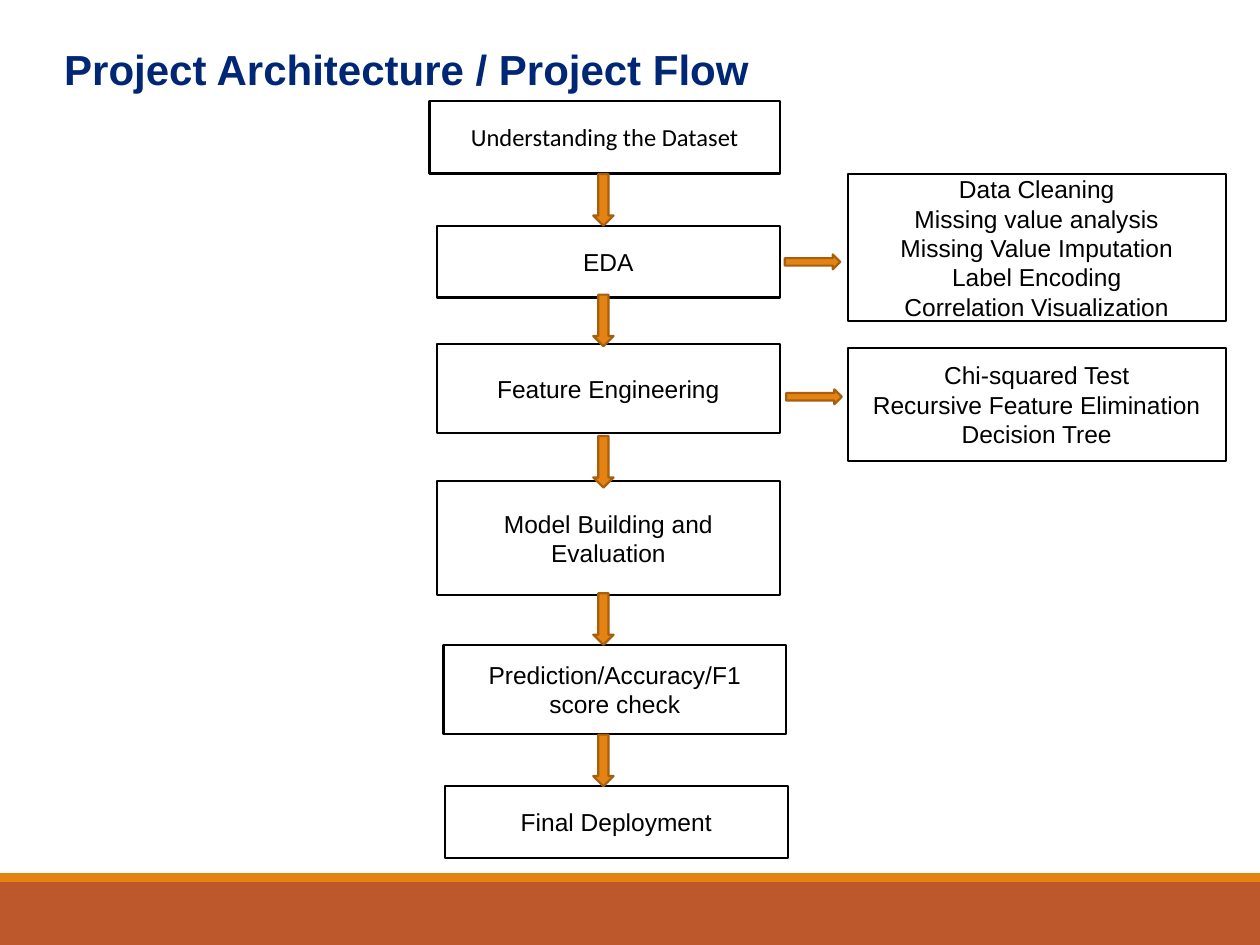
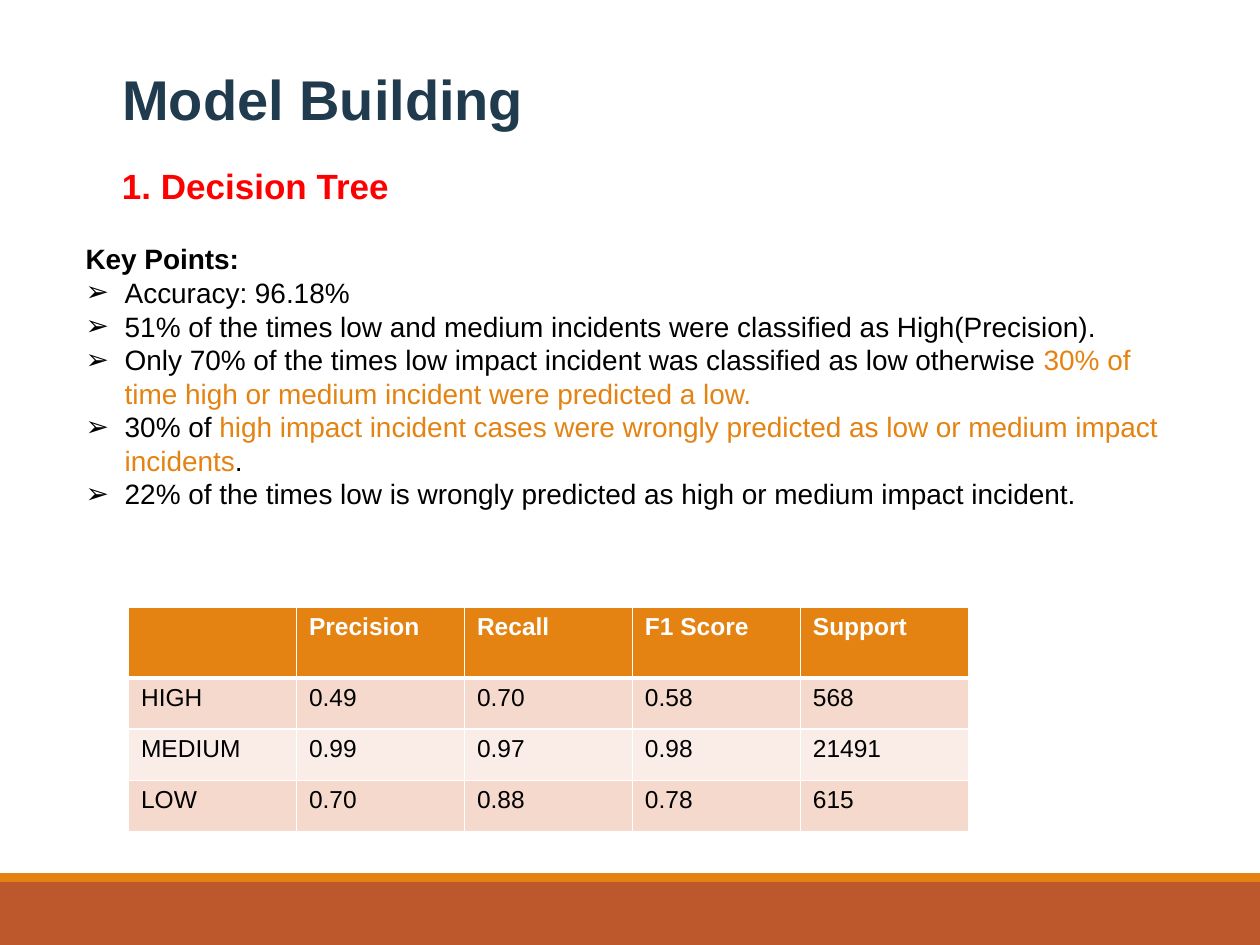
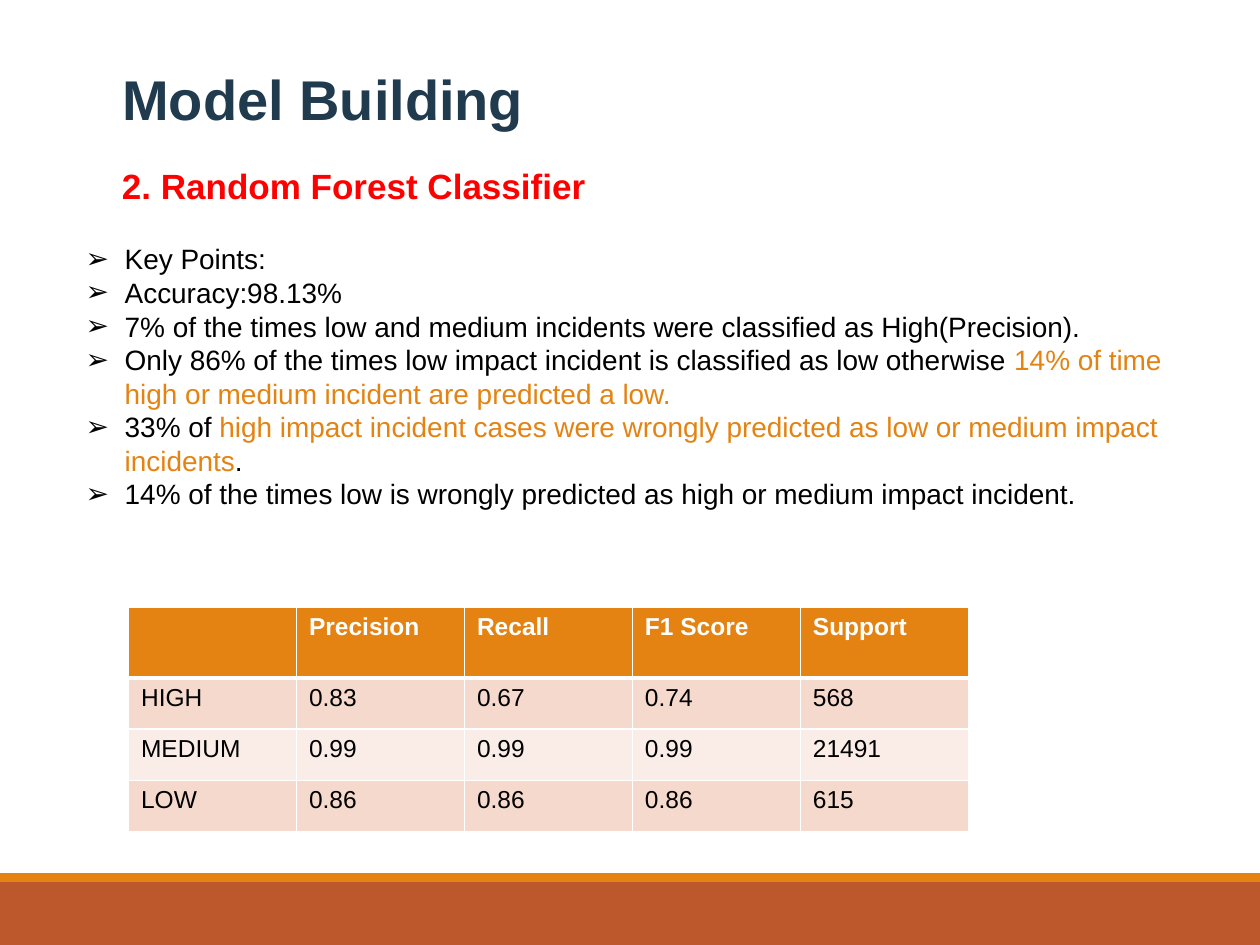
"""Build three slides on a project flow and its classifier results."""
from lxml.etree import SubElement
from pptx import Presentation
from pptx.dml.color import RGBColor
from pptx.enum.shapes import MSO_SHAPE
from pptx.enum.text import MSO_ANCHOR, MSO_AUTO_SIZE, PP_ALIGN
from pptx.oxml.ns import qn
from pptx.util import Cm, Pt

WHITE = RGBColor(0xFF, 0xFF, 0xFF)
BLACK = RGBColor(0x00, 0x00, 0x00)
RED = RGBColor(0xFF, 0x00, 0x00)
NAVY = RGBColor(0x00, 0x27, 0x76)
SLATE = RGBColor(0x20, 0x3A, 0x4E)
ORANGE = RGBColor(0xE4, 0x83, 0x12)
DARK_ORANGE = RGBColor(0xA6, 0x5F, 0x0D)
RUST = RGBColor(0xBD, 0x58, 0x2C)
PEACH = RGBColor(0xF5, 0xD9, 0xCC)
PALE_PEACH = RGBColor(0xFA, 0xED, 0xE7)

FLOW_TITLE = {"name": "Arial", "size": Pt(24), "bold": True, "color": NAVY}
MODEL_TITLE = {"name": "Arial", "size": Pt(32), "bold": True, "color": SLATE}
SUBTITLE = {"name": "Arial", "size": Pt(20), "bold": True, "color": RED}
POINT = {"name": "Arial", "size": Pt(16), "bold": False, "color": BLACK}
HIGHLIGHT = {**POINT, "color": ORANGE}
HEADING = {**POINT, "bold": True}
BOX_TEXT = {"name": "Arial", "size": Pt(14), "bold": False, "color": BLACK}
FIRST_BOX_TEXT = {**BOX_TEXT, "name": "Calibri"}
HEADER_CELL = {**BOX_TEXT, "bold": True, "color": WHITE}

STEPS = [
    ("Understanding the Dataset", (8.66, 2.03, 7.06, 1.47), FIRST_BOX_TEXT),
    ("EDA", (8.81, 4.55, 6.91, 1.45), BOX_TEXT),
    ("Feature Engineering", (8.81, 6.93, 6.91, 1.8), BOX_TEXT),
    ("Model Building and Evaluation", (8.81, 9.7, 6.91, 2.29), BOX_TEXT),
    ("Prediction/Accuracy/F1 score check", (8.94, 13, 6.91, 1.8), BOX_TEXT),
    ("Final Deployment", (8.97, 15.85, 6.91, 1.45), BOX_TEXT),
    ("Data Cleaning\nMissing value analysis\nMissing Value Imputation\n"
     "Label Encoding\nCorrelation Visualization", (17.09, 3.51, 7.62, 2.97), BOX_TEXT),
    ("Chi-squared Test\nRecursive Feature Elimination\nDecision Tree",
     (17.09, 7.01, 7.62, 2.29), BOX_TEXT),
]
DOWN_ARROW_TOPS = [3.51, 5.94, 8.79, 11.96, 14.81]
RIGHT_ARROW_CORNERS = [(15.82, 5.13), (15.85, 7.85)]

TREE_POINTS = [
    ["Accuracy: 96.18%"],
    ["51% of the times low and medium incidents were classified as High(Precision)."],
    ["Only 70% of the times low impact incident was classified as low otherwise ",
     "30% of time high or medium incident were predicted a low."],
    ["30% of ", "high impact incident cases were wrongly predicted as low or medium "
     "impact incidents", "."],
    ["22% of the times low is wrongly predicted as high or medium impact incident."],
]
FOREST_POINTS = [
    ["Key Points:"],
    ["Accuracy:98.13%"],
    ["7% of the times low and medium incidents were classified as High(Precision)."],
    ["Only 86% of the times low impact incident is classified as low otherwise ",
     "14% of time high or medium incident are predicted a low."],
    ["33% of ", "high impact incident cases were wrongly predicted as low or medium "
     "impact incidents", "."],
    ["14% of the times low is wrongly predicted as high or medium impact incident."],
]
SCORE_HEADER = ["", "Precision", "Recall", "F1 Score", "Support"]
TREE_SCORES = [
    ["HIGH", "0.49", "0.70", "0.58", "568"],
    ["MEDIUM", "0.99", "0.97", "0.98", "21491"],
    ["LOW", "0.70", "0.88", "0.78", "615"],
]
FOREST_SCORES = [
    ["HIGH", "0.83", "0.67", "0.74", "568"],
    ["MEDIUM", "0.99", "0.99", "0.99", "21491"],
    ["LOW", "0.86", "0.86", "0.86", "615"],
]


def add_span(para, text, values):
    """Add a run whose font takes the given format values."""
    span = para.add_run()
    span.text = text
    for key, value in values.items():
        if key == "color":
            span.font.color.rgb = value
        else:
            setattr(span.font, key, value)


def place(shape, corners):
    """Move and size a shape, with lengths in centimetres."""
    for key, value in zip(("left", "top", "width", "height"), corners):
        setattr(shape, key, Cm(value))


def set_frame(frame, anchor):
    """Make a text frame wrap at a fixed size."""
    values = {"word_wrap": True, "auto_size": MSO_AUTO_SIZE.NONE, "vertical_anchor": anchor}
    for key, value in values.items():
        setattr(frame, key, value)


def add_preset(page, kind, corners, fill, line=None):
    """Add a flat preset shape."""
    shape = page.shapes.add_shape(kind, *map(Cm, corners))
    shape.shadow.inherit = False
    shape.fill.solid()
    shape.fill.fore_color.rgb = fill
    if line is None:
        shape.line.fill.background()
    else:
        shape.line.color.rgb = line
        shape.line.width = Pt(1.25)
    return shape


def add_master_bands(deck, page):
    """Draw the two footer bands and move them to the slide master."""
    tree = deck.slide_master.element.cSld.spTree
    bands = [((0, 17.78, 25.4, 1.27), RUST), ((0, 17.6, 25.4, 0.18), ORANGE)]
    for index, (corners, color) in enumerate(bands):
        band = add_preset(page, MSO_SHAPE.RECTANGLE, corners, color)
        band.element.nvSpPr.cNvPr.id = 100 + index
        tree.insert(2 + index, band.element)


def set_title(page, text, corners, values):
    """Fill the title placeholder."""
    title = page.shapes.title
    place(title, corners)
    set_frame(title.text_frame, MSO_ANCHOR.TOP)
    para = title.text_frame.paragraphs[0]
    para.alignment = PP_ALIGN.LEFT
    add_span(para, text, values)


def add_step_box(page, text, corners, values):
    """Add an outlined box with one centred paragraph for each line."""
    box = add_preset(page, MSO_SHAPE.RECTANGLE, corners, WHITE, BLACK)
    frame = box.text_frame
    set_frame(frame, MSO_ANCHOR.MIDDLE)
    for index, line in enumerate(text.split("\n")):
        para = frame.add_paragraph() if index else frame.paragraphs[0]
        para.alignment = PP_ALIGN.CENTER
        add_span(para, line, values)


def add_subtitle(page, text):
    """Add the name of the classifier below the title."""
    box = page.shapes.add_textbox(Cm(2.21), Cm(3.2), Cm(12.7), Cm(1.12))
    set_frame(box.text_frame, MSO_ANCHOR.TOP)
    add_span(box.text_frame.paragraphs[0], text, SUBTITLE)


def set_bullet(para, bulleted):
    """Give a paragraph a hanging arrow bullet, or none."""
    indent = Cm(0.79) if bulleted else 0
    properties = para._p.get_or_add_pPr()
    properties.set("marL", str(indent))
    properties.set("indent", str(-indent))
    if bulleted:
        color = SubElement(properties, qn("a:buClr"))
        SubElement(color, qn("a:srgbClr"), val=str(BLACK))
        SubElement(properties, qn("a:buFont"), typeface="Arial")
        SubElement(properties, qn("a:buChar"), char="➢")
    else:
        SubElement(properties, qn("a:buNone"))


def set_points(page, heading, points):
    """Fill the body placeholder, with every second span highlighted."""
    body = page.placeholders[1]
    place(body, (1.47, 4.75, 22.71, 6.4))
    frame = body.text_frame
    set_frame(frame, MSO_ANCHOR.TOP)
    rows = ([[heading]] if heading else []) + points
    for index, spans in enumerate(rows):
        para = frame.add_paragraph() if index else frame.paragraphs[0]
        is_heading = bool(heading) and index == 0
        para.space_before = Pt(0)
        set_bullet(para, not is_heading)
        for position, text in enumerate(spans):
            plain = HEADING if is_heading else POINT
            add_span(para, text, HIGHLIGHT if position % 2 else plain)


def set_borders(cell, widths):
    """Draw white cell borders with widths in points for each side."""
    properties = cell._tc.get_or_add_tcPr()
    for side, width in widths.items():
        line = SubElement(properties, qn(f"a:ln{side}"), w=str(Pt(width)))
        fill = SubElement(line, qn("a:solidFill"))
        SubElement(fill, qn("a:srgbClr"), val=str(WHITE))


def add_score_table(page, scores):
    """Add the table of scores for each class."""
    rows = [SCORE_HEADER] + scores
    frame = page.shapes.add_table(len(rows), len(SCORE_HEADER),
                                  Cm(2.59), Cm(12.24), Cm(16.93), Cm(4.52))
    table = frame.table
    for row_index, texts in enumerate(rows):
        is_header = row_index == 0
        table.rows[row_index].height = Cm(1.43 if is_header else 1.03)
        fill = ORANGE if is_header else (PEACH if row_index % 2 else PALE_PEACH)
        widths = {"L": 1, "R": 1, "T": 3 if row_index == 1 else 1, "B": 3 if is_header else 1}
        for column, text in enumerate(texts):
            cell = table.cell(row_index, column)
            set_borders(cell, widths)
            cell.fill.solid()
            cell.fill.fore_color.rgb = fill
            if text:
                add_span(cell.text_frame.paragraphs[0], text,
                         HEADER_CELL if is_header else BOX_TEXT)


def add_flow_page(deck):
    """Add the page with the project flow."""
    page = deck.slides.add_slide(deck.slide_layouts[5])
    set_title(page, "Project Architecture / Project Flow",
              (1.04, 0.74, 17.04, 1.27), FLOW_TITLE)
    for text, corners, values in STEPS:
        add_step_box(page, text, corners, values)
    for top in DOWN_ARROW_TOPS:
        add_preset(page, MSO_SHAPE.DOWN_ARROW, (11.96, top, 0.41, 1.04), ORANGE, DARK_ORANGE)
    for left, top in RIGHT_ARROW_CORNERS:
        add_preset(page, MSO_SHAPE.RIGHT_ARROW, (left, top, 1.12, 0.3), ORANGE, DARK_ORANGE)
    return page


def add_model_page(deck, subtitle, heading, points, scores):
    """Add a page with the key points and scores of one classifier."""
    page = deck.slides.add_slide(deck.slide_layouts[1])
    set_title(page, "Model Building", (2.21, 1.17, 12.7, 1.63), MODEL_TITLE)
    add_subtitle(page, subtitle)
    set_points(page, heading, points)
    add_score_table(page, scores)


def main():
    """Build and save the deck."""
    deck = Presentation()
    deck.slide_width = Cm(25.4)
    deck.slide_height = Cm(19.05)
    flow_page = add_flow_page(deck)
    add_master_bands(deck, flow_page)
    add_model_page(deck, "1. Decision Tree", "Key Points:", TREE_POINTS, TREE_SCORES)
    add_model_page(deck, "2. Random Forest Classifier", None, FOREST_POINTS, FOREST_SCORES)
    deck.save("out.pptx")


if __name__ == "__main__":
    main()
